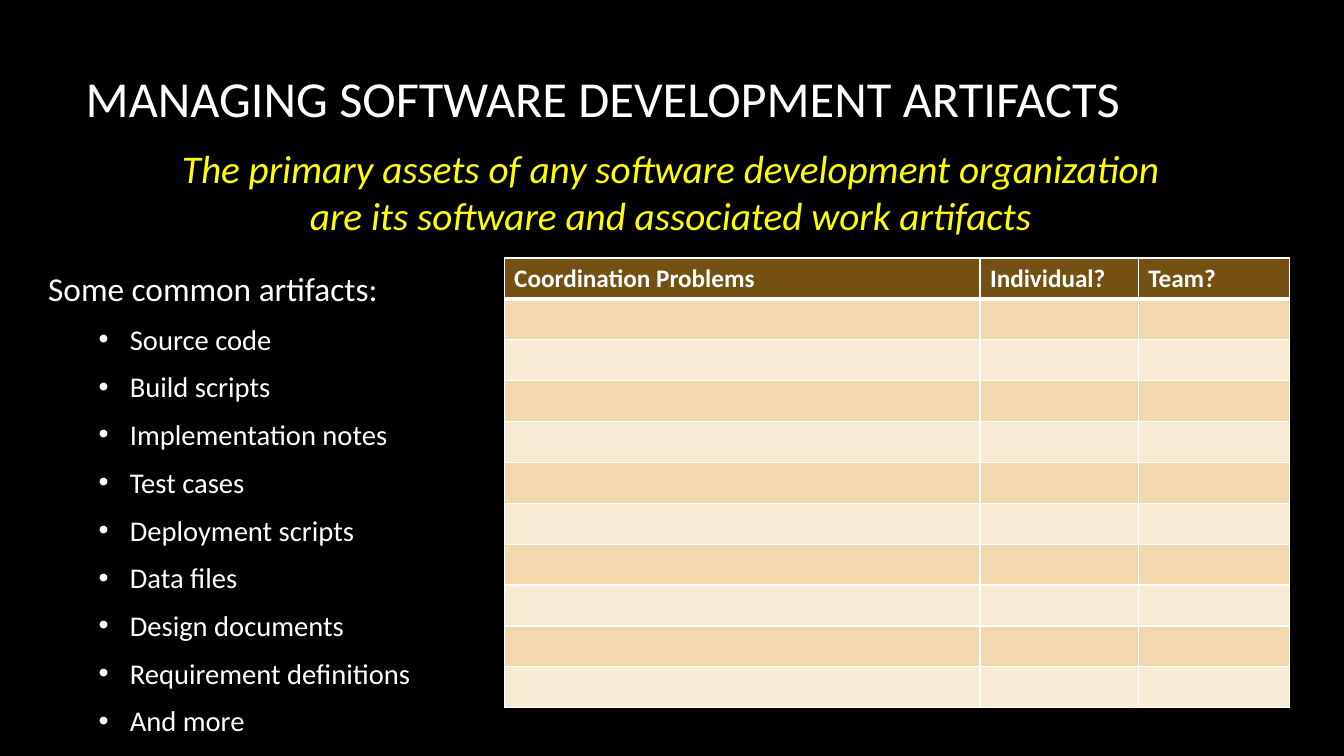
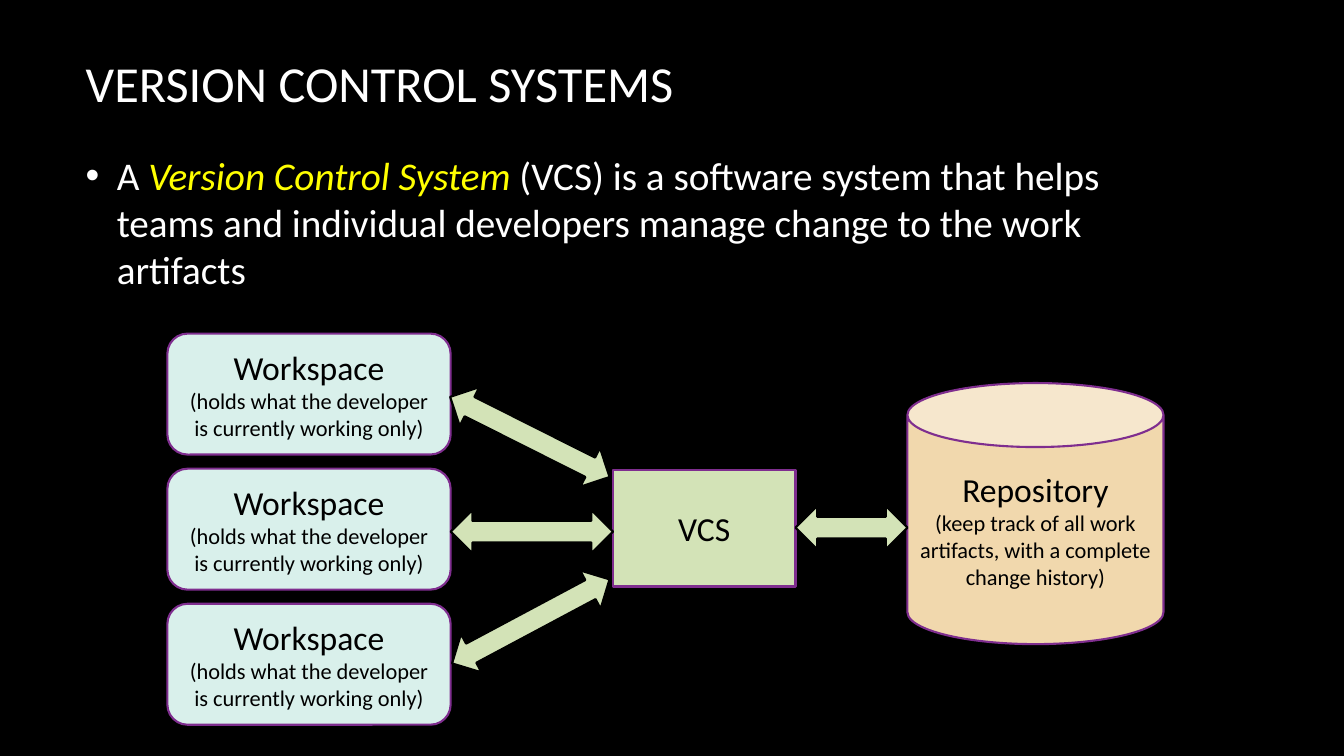
from lxml import etree
from pptx import Presentation
from pptx.dml.color import RGBColor
from pptx.enum.shapes import MSO_SHAPE
from pptx.enum.text import MSO_ANCHOR, MSO_AUTO_SIZE, PP_ALIGN
from pptx.oxml.ns import qn
from pptx.util import Inches, Pt

LEFT, CENTER = PP_ALIGN.LEFT, PP_ALIGN.CENTER
TOP, MIDDLE = MSO_ANCHOR.TOP, MSO_ANCHOR.MIDDLE
FIXED = MSO_AUTO_SIZE.NONE
RECT, ROUND, CAN, ARROW = (MSO_SHAPE.RECTANGLE, MSO_SHAPE.ROUNDED_RECTANGLE,
                           MSO_SHAPE.CAN, MSO_SHAPE.LEFT_RIGHT_ARROW)
FONT = "Calibri"
BLACK, WHITE, YELLOW = "000000", "FFFFFF", "FFFF00"
BROWN, SAND, CREAM = "745013", "F1D8AD", "F8EBD6"
GREEN, MINT, PURPLE = "D3E3B7", "D9F0EB", "7F2E8F"

ITEMS = ["Source code", "Build scripts", "Implementation notes", "Test cases",
         "Deployment scripts", "Data files", "Design documents",
         "Requirement definitions", "And more"]
HEADS = ["Coordination Problems", "Individual?", "Team?"]


def paint(target, color):
    """Give a fill one solid colour."""
    target.solid()
    target.fore_color.rgb = RGBColor.from_string(color)


def inches(box):
    """Turn left, top, width and height into lengths."""
    return [Inches(n) for n in box]


def add_run(para, text, size, color, bold=False, italic=False):
    """Add one formatted run."""
    run = para.add_run()
    run.text = text
    font = run.font
    font.name, font.size = FONT, Pt(size)
    font.bold, font.italic = bold, italic
    font.color.rgb = RGBColor.from_string(color)


def add_para(frame, *runs, align=LEFT, after=0, indent=None):
    """Add a paragraph of runs, with a bullet if an indent is given."""
    para = frame.paragraphs[0]
    if para.runs:
        para = frame.add_paragraph()
    para.alignment, para.space_after = align, Pt(after)
    if indent is not None:
        props = para._p.get_or_add_pPr()
        props.set("marL", str(Inches(indent)))
        props.set("indent", str(Inches(-0.31)))
        etree.SubElement(props, qn("a:buFont")).set("typeface", "Arial")
        etree.SubElement(props, qn("a:buChar")).set("char", "•")
    for text, size, color, *style in runs:
        add_run(para, text, size, color, italic="italic" in style)


def add_text(slide, box):
    """Add a wrapping text box and return its frame."""
    frame = slide.shapes.add_textbox(*inches(box)).text_frame
    frame.word_wrap, frame.auto_size = True, FIXED
    frame.vertical_anchor = TOP
    return frame


def add_slide(deck, title, top):
    """Add a slide with the shared title style."""
    slide = deck.slides.add_slide(deck.slide_layouts[5])
    shape = slide.shapes.title
    shape.left, shape.top, shape.width, shape.height = inches(
        (0.75, top, 11.08, 1.59))
    frame = shape.text_frame
    frame.auto_size, frame.vertical_anchor = FIXED, MIDDLE
    add_para(frame, (title, 36, WHITE))
    return slide


def add_node(slide, kind, box, color, line=PURPLE, head="", note="", turn=0):
    """Add a filled shape with an optional heading and note."""
    shape = slide.shapes.add_shape(kind, *inches(box))
    shape.shadow.inherit = False
    shape.rotation = turn
    paint(shape.fill, color)
    paint(shape.line.fill, line)
    shape.line.width = Pt(1.5)
    frame = shape.text_frame
    frame.word_wrap, frame.vertical_anchor = True, MIDDLE
    for text, size in ((head, 24), (note, 16)):
        if text:
            add_para(frame, (text, size, BLACK), align=CENTER)


def set_edges(cell, base):
    """Draw white cell borders, the bottom one of the given width."""
    props = cell._tc.get_or_add_tcPr()
    for i, side in enumerate("LRTB"):
        edge = etree.Element(qn("a:ln" + side))
        edge.set("w", str(Pt(base if side == "B" else 1)))
        fill = etree.SubElement(edge, qn("a:solidFill"))
        etree.SubElement(fill, qn("a:srgbClr")).set("val", WHITE)
        props.insert(i, edge)


def add_grid(slide, box, widths, count):
    """Add the problem table: a header and empty banded rows."""
    table = slide.shapes.add_table(count, len(widths), *inches(box)).table
    for col, width in zip(table.columns, widths):
        col.width = Inches(width)
    for r in range(count):
        for c, head in enumerate(HEADS):
            cell = table.cell(r, c)
            paint(cell.fill, (SAND if r % 2 else CREAM) if r else BROWN)
            set_edges(cell, 1 if r else 3)
            if r == 0:
                add_run(cell.text_frame.paragraphs[0], head, 18, WHITE, True)


def add_list(slide, box):
    """Add the list of common artifacts."""
    frame = add_text(slide, box)
    add_para(frame, ("Some common artifacts:", 23.8, WHITE), after=9.6)
    for item in ITEMS:
        add_para(frame, (item, 20.4, WHITE), after=9.6, indent=0.81)


def add_flow(slide, left, top):
    """Add the diagram of workspaces, VCS and repository."""
    for i in range(3):
        add_node(slide, ROUND, (left, top + i * 1.34, 2.81, 1.2), MINT,
                 head="Workspace",
                 note="(holds what the developer is currently working only)")
    add_node(slide, RECT, (left + 4.42, top + 1.35, 1.81, 1.16), GREEN,
             head="VCS")
    add_node(slide, CAN, (left + 7.34, top + 0.49, 2.54, 2.59), SAND,
             head="Repository", note="(keep track of all work artifacts, "
             "with a complete change history)")
    for x, y, width, turn in ((2.71, 0.81, 1.77, 26.7), (2.81, 1.75, 1.61, 0),
                              (2.72, 2.64, 1.77, 331.9), (6.23, 1.71, 1.11, 0)):
        add_node(slide, ARROW, (left + x, top + y, width, 0.43), GREEN,
                 line=BLACK, turn=turn)


def add_assets(deck):
    """Build the slide on development artifacts."""
    slide = add_slide(deck, "MANAGING SOFTWARE DEVELOPMENT ARTIFACTS", 0.17)
    add_list(slide, (0.38, 2.61, 4.26, 4.41))
    add_grid(slide, (5, 2.56, 7.79, 4.46), (4.72, 1.57, 1.5), 11)
    frame = add_text(slide, (0.51, 1.38, 12.28, 1.04))
    for line in ("The primary assets of any software development organization",
                 "are its software and associated work artifacts"):
        add_para(frame, (line, 28, YELLOW, "italic"), align=CENTER)


def add_system(deck):
    """Build the slide on version control."""
    slide = add_slide(deck, "VERSION CONTROL SYSTEMS", 0.02)
    frame = add_text(slide, (0.75, 1.45, 11.08, 1.52))
    add_para(frame, ("A ", 28, WHITE),
             ("Version Control System", 28, YELLOW, "italic"),
             (" (VCS) is a software system that helps teams and individual "
              "developers manage change to the work artifacts", 28, WHITE),
             after=10, indent=0.31)
    add_flow(slide, 1.66, 3.31)


def main():
    """Build and save the deck."""
    deck = Presentation()
    deck.slide_width, deck.slide_height = Inches(13.33), Inches(7.5)
    paint(deck.slide_master.background.fill, BLACK)
    add_assets(deck)
    add_system(deck)
    deck.save("out.pptx")


main()
